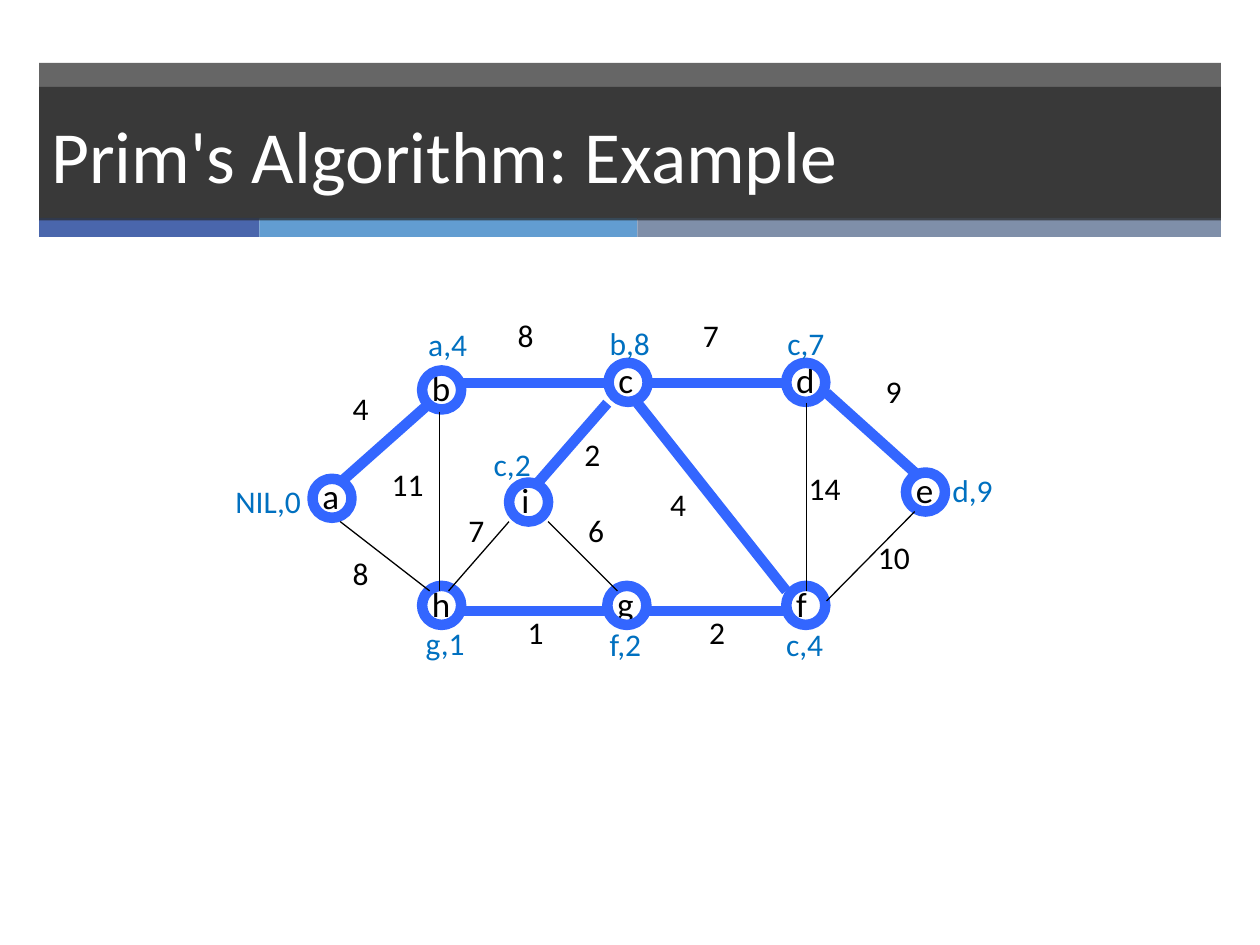
from pptx import Presentation
from pptx.util import Inches, Pt
from pptx.dml.color import RGBColor
from pptx.enum.shapes import MSO_SHAPE, MSO_CONNECTOR
from pptx.enum.text import MSO_ANCHOR, MSO_AUTO_SIZE
from pptx.oxml.ns import qn
from lxml import etree

RECT, OVAL = MSO_SHAPE.RECTANGLE, MSO_SHAPE.OVAL
LINE = MSO_CONNECTOR.STRAIGHT
MID, TOP = MSO_ANCHOR.MIDDLE, MSO_ANCHOR.TOP
GROW = MSO_AUTO_SIZE.SHAPE_TO_FIT_TEXT
BLACK = RGBColor(0x00, 0x00, 0x00)
WHITE = RGBColor(0xFF, 0xFF, 0xFF)
DARK = RGBColor(0x26, 0x26, 0x26)
NAVY = RGBColor(0x4A, 0x66, 0xAC)
SKY = RGBColor(0x62, 0x9D, 0xD1)
SLATE = RGBColor(0x7F, 0x8F, 0xA9)
TREE = RGBColor(0x33, 0x66, 0xFF)
KEY = RGBColor(0x00, 0x70, 0xC0)

deck = Presentation()
deck.slide_width, deck.slide_height = Inches(10), Inches(7.5)
CELL = deck.slide_width / 100
slide = deck.slides.add_slide(deck.slide_layouts[6])
shapes = slide.shapes


def grid(*cells):
    return [round(n * CELL) for n in cells]


def write(text, at=None, shape=None, size=18, color=BLACK, anchor=TOP):
    box = shape or shapes.add_textbox(*grid(*at))
    frame = box.text_frame
    frame.word_wrap = shape is not None
    if shape is None:
        frame.auto_size = GROW
    frame.vertical_anchor = anchor
    para = frame.paragraphs[0]
    para.alignment = 1
    run = para.add_run()
    run.text = text
    run.font.name = "Calibri"
    run.font.size = Pt(size)
    run.font.color.rgb = color


bars = [
    (3.1, 5, 93.8, 12.4, DARK, 70),
    (3.1, 17.3, 17.5, 1.5, NAVY, 100),
    (20.6, 17.3, 30, 1.5, SKY, 100),
    (50.6, 17.3, 46.3, 1.5, SLATE, 100),
    (3.1, 6.9, 93.8, 10.6, DARK, 70),
]
for *at, color, share in bars:
    bar = shapes.add_shape(RECT, *grid(*at))
    bar.shadow.inherit = False
    bar.fill.solid()
    bar.fill.fore_color.rgb = color
    bar.line.fill.background()
    if share < 100:
        tint = bar._element.spPr.find(".//" + qn("a:srgbClr"))
        etree.SubElement(tint, qn("a:alpha"), val=str(share * 1000))
write("Prim's Algorithm: Example", shape=bar, size=42, color=WHITE, anchor=MID)

SIDE = 3.1
nodes = [
    ("a", 24.8, 38, 3.2), ("b", 33.5, 29.4, 3.4), ("h", 33.5, 46.5, 3.4),
    ("c", 48.3, 28.8, 3.2), ("d", 62.4, 28.8, 3.4), ("e", 71.9, 37.5, 3.2),
    ("f", 62.4, 46.5, 2.9), ("g", 48.2, 46.5, 3.4), ("i", 40.4, 38.3, 2.8),
]
for name, left, top, wide in nodes:
    shift = 0 if name == "i" else 0.2
    write(name, at=(left - shift, top - 0.8, wide, 4.3), size=20)
    ring = shapes.add_shape(OVAL, *grid(left, top, SIDE, SIDE))
    ring.shadow.inherit = False
    ring.fill.background()
    ring.line.color.rgb = TREE
    ring.line.width = Pt(6)

tree = [
    (27, 38.3, 34.1, 32), (36.4, 30.4, 48.2, 30.4), (36.4, 48.5, 48.2, 48.5),
    (51.4, 48.5, 62.4, 48.5), (50.6, 32, 62.4, 46.9), (51.4, 30.4, 62.4, 30.4),
    (65.6, 31.2, 72.6, 37.5), (42.7, 38.3, 48.2, 32),
]
rest = [
    (27, 41.4, 34.1, 46.9), (34.9, 32.7, 34.9, 46.9), (64, 32, 64, 46.9),
    (65.6, 47.7, 72.6, 40.6), (43.5, 41.4, 49, 46.9), (35.6, 46.9, 40.4, 41.4),
]
for group, color, width in ((tree, TREE, 6), (rest, BLACK, 0.75)):
    for ends in group:
        edge = shapes.add_connector(LINE, *grid(*ends))
        edge.line.color.rgb = color
        edge.line.width = Pt(width)
        etree.SubElement(edge._element.spPr, qn("a:effectLst"))

costs = [
    ("4", 27, 30.4), ("8", 40.1, 24.6), ("7", 54.8, 24.6), ("9", 69.3, 29),
    ("10", 68.7, 42.2), ("14", 63.2, 36.7), ("4", 52.2, 38), ("2", 45.4, 34),
    ("2", 55.3, 48.2), ("6", 45.7, 40.1), ("1", 40.9, 48.2), ("7", 36.2, 40.1),
    ("11", 30.1, 36.4), ("8", 27, 43.5),
]
for cost, left, top in costs:
    write(cost, at=(left, top, 2.1 + 1.6 * len(cost), 5))

keys = [
    ("a,4", 33, 25.3, 5.1), ("g,1", 32.8, 49, 5.2), ("b,8", 47.4, 25.2, 5.3),
    ("c,7", 61.5, 25.2, 5), ("f,2", 47.4, 49.1, 4.5), ("c,4", 61.4, 49.1, 5),
    ("d,9", 74.6, 36.9, 5.3), ("NIL,0", 17.7, 37.8, 7.3), ("c,2", 38.2, 34.8, 5),
]
for key, left, top, wide in keys:
    write(key, at=(left, top, wide, 4), color=KEY)

deck.save("out.pptx")
